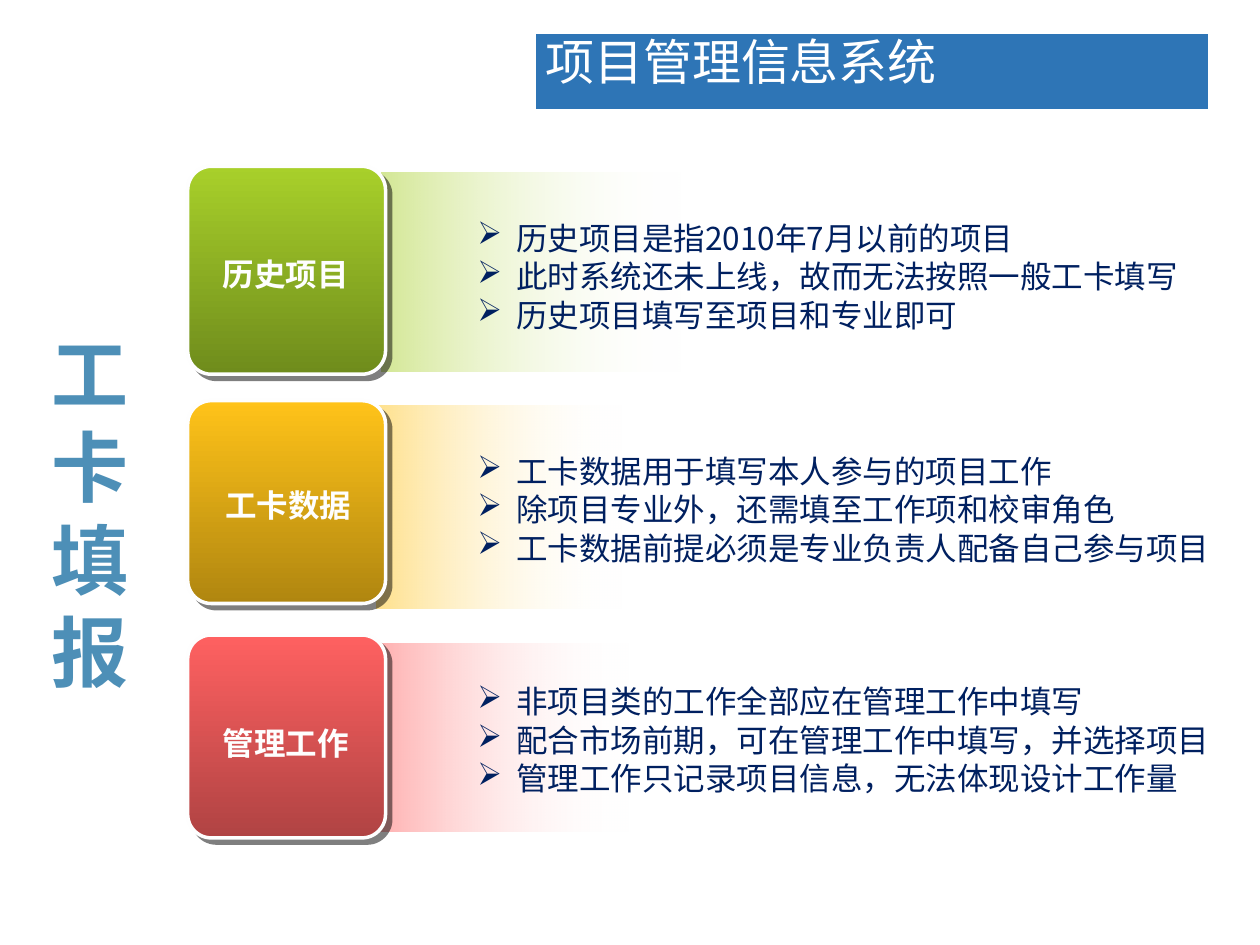
from dataclasses import dataclass

from lxml import etree
from pptx import Presentation
from pptx.dml.color import RGBColor
from pptx.enum.shapes import MSO_SHAPE
from pptx.enum.text import MSO_ANCHOR, PP_ALIGN
from pptx.oxml.ns import qn
from pptx.util import Inches, Pt

RECT = MSO_SHAPE.RECTANGLE
ROUNDED = MSO_SHAPE.ROUNDED_RECTANGLE
TOP = MSO_ANCHOR.TOP
LEFT = PP_ALIGN.LEFT


@dataclass(frozen=True)
class Theme:
    sans: str = "Noto Sans CJK SC"
    body: str = "Noto Sans CJK JP"
    white: str = "FFFFFF"
    tile_text: str = "FEFEFE"
    banner: str = "2E75B6"
    side: str = "4D8FB7"
    navy: str = "002060"
    shadow: str = "000000"
    title_size: int = 28
    side_size: int = 44
    text_size: int = 18
    title_line: int = 30
    side_line: int = 53
    text_line: int = 22


@dataclass(frozen=True)
class Topic:
    label: str
    points: tuple
    light: str
    dark: str
    panel: tuple
    label_at: tuple
    text_top: float


T = Theme()
ROW_LEFT, ROW_TOP, ROW_PITCH = 1.49, 1.32, 1.86
TILE_W, TILE_H = 1.57, 1.61
TOPICS = (
    Topic("历史项目",
          ("历史项目是指2010年7月以前的项目",
           "此时系统还未上线，故而无法按照一般工卡填写",
           "历史项目填写至项目和专业即可"),
          "A8D02A", "6F8C1C", (1.54, 0.05, 2.39, 1.58), (0.18, 0.65), 0.36),
    Topic("工卡数据",
          ("工卡数据用于填写本人参与的项目工作",
           "除项目专业外，还需填至工作项和校审角色",
           "工卡数据前提必须是专业负责人配备自己参与项目"),
          "FFC319", "B08610", (1.50, 0.04, 1.96, 1.61), (0.20, 0.62), 0.35),
    Topic("管理工作",
          ("非项目类的工作全部应在管理工作中填写",
           "配合市场前期，可在管理工作中填写，并选择项目",
           "管理工作只记录项目信息，无法体现设计工作量"),
          "FF6161", "B04343", (1.52, 0.07, 1.99, 1.49), (0.18, 0.65), 0.32),
)


def rgb(value):
    return RGBColor.from_string(value)


def add_box(s, kind, x, y, w, h):
    sp = s.shapes.add_shape(kind, Inches(x), Inches(y), Inches(w), Inches(h))
    sp.shadow.inherit = False
    sp.line.fill.background()
    return sp


def add_textbox(s, x, y, w, h, wrap=True):
    tf = s.shapes.add_textbox(Inches(x), Inches(y), Inches(w), Inches(h)).text_frame
    tf.word_wrap = wrap
    return tf


def set_outline(sp, color, width):
    sp.line.color.rgb = rgb(color)
    sp.line.width = Pt(width)


def add_run(p, text, font, size, color, line, bold=False):
    p.alignment = LEFT
    p.line_spacing = Pt(line)
    r = p.add_run()
    r.text = text
    r.font.name = font
    r.font.size = Pt(size)
    r.font.bold = bold
    r.font.color.rgb = rgb(color)
    etree.SubElement(r.font._element, qn("a:ea"), typeface=font)


def set_gradient(sp, colors, angle, alphas=(100, 100)):
    sp.fill.gradient()
    sp.fill.gradient_angle = angle
    for stop, color, alpha in zip(sp.fill.gradient_stops, colors, alphas):
        stop.color.rgb = rgb(color)
    for node, alpha in zip(sp._element.spPr.iter(qn("a:srgbClr")), alphas):
        if alpha < 100:
            etree.SubElement(node, qn("a:alpha"), val=str(alpha * 1000))


def add_shadow(sp):
    effects = sp._element.spPr.find(qn("a:effectLst"))
    outer = etree.SubElement(effects, qn("a:outerShdw"), blurRad="0",
                             dist=str(Pt(4.2)), dir="2700000",
                             algn="ctr", rotWithShape="0")
    color = etree.SubElement(outer, qn("a:srgbClr"), val=T.shadow)
    etree.SubElement(color, qn("a:alpha"), val="50000")


def set_bullet(p):
    pPr = p._p.get_or_add_pPr()
    indent = Inches(0.31)
    pPr.set("marL", str(indent))
    pPr.set("indent", str(-indent))
    etree.SubElement(pPr, qn("a:buChar"), char="➢")


def add_banner(s, x, y, w, h):
    sp = add_box(s, RECT, x, y, w, h)
    sp.fill.solid()
    sp.fill.fore_color.rgb = rgb(T.banner)
    set_outline(sp, T.white, 3)
    tf = sp.text_frame
    tf.word_wrap = True
    tf.vertical_anchor = TOP
    add_run(tf.paragraphs[0], "项目管理信息系统", T.sans, T.title_size,
            T.white, T.title_line)


def add_side_title(s, x, y, w, h):
    tf = add_textbox(s, x, y, w, h)
    add_run(tf.paragraphs[0], "工卡填报", T.sans, T.side_size, T.side,
            T.side_line, bold=True)


def add_topic(s, topic, x, y, w, h):
    dx, dy, panel_w, panel_h = topic.panel
    panel = add_box(s, RECT, x + dx, y + dy, panel_w, panel_h)
    set_gradient(panel, (topic.light, T.white), 0, (50, 0))

    tile = add_box(s, ROUNDED, x, y, w, h)
    tile.adjustments[0] = 0.119
    set_gradient(tile, (topic.light, topic.dark), 270)
    set_outline(tile, T.tile_text, 2)
    add_shadow(tile)

    label_x, label_y = topic.label_at
    tf = add_textbox(s, x + label_x, y + label_y, 1.21, 0.4, wrap=False)
    add_run(tf.paragraphs[0], topic.label, T.sans, T.text_size, T.tile_text,
            T.text_line, bold=True)

    tf = add_textbox(s, x + 2.2, y + topic.text_top, 6.29, 1.01)
    for i, point in enumerate(topic.points):
        p = tf.add_paragraph() if i else tf.paragraphs[0]
        set_bullet(p)
        add_run(p, point, T.body, T.text_size, T.navy, T.text_line)


def main():
    prs = Presentation()
    prs.slide_width, prs.slide_height = Inches(10), Inches(7.5)
    s = prs.slides.add_slide(prs.slide_layouts[6])
    add_banner(s, 4.23, 0.25, 5.38, 0.64)
    for row, topic in enumerate(TOPICS):
        tile_h = TILE_H if row else 1.65
        add_topic(s, topic, ROW_LEFT, ROW_TOP + row * ROW_PITCH, TILE_W, tile_h)
    add_side_title(s, 0.31, 2.54, 1.35, 3.06)
    prs.save("out.pptx")


if __name__ == "__main__":
    main()
